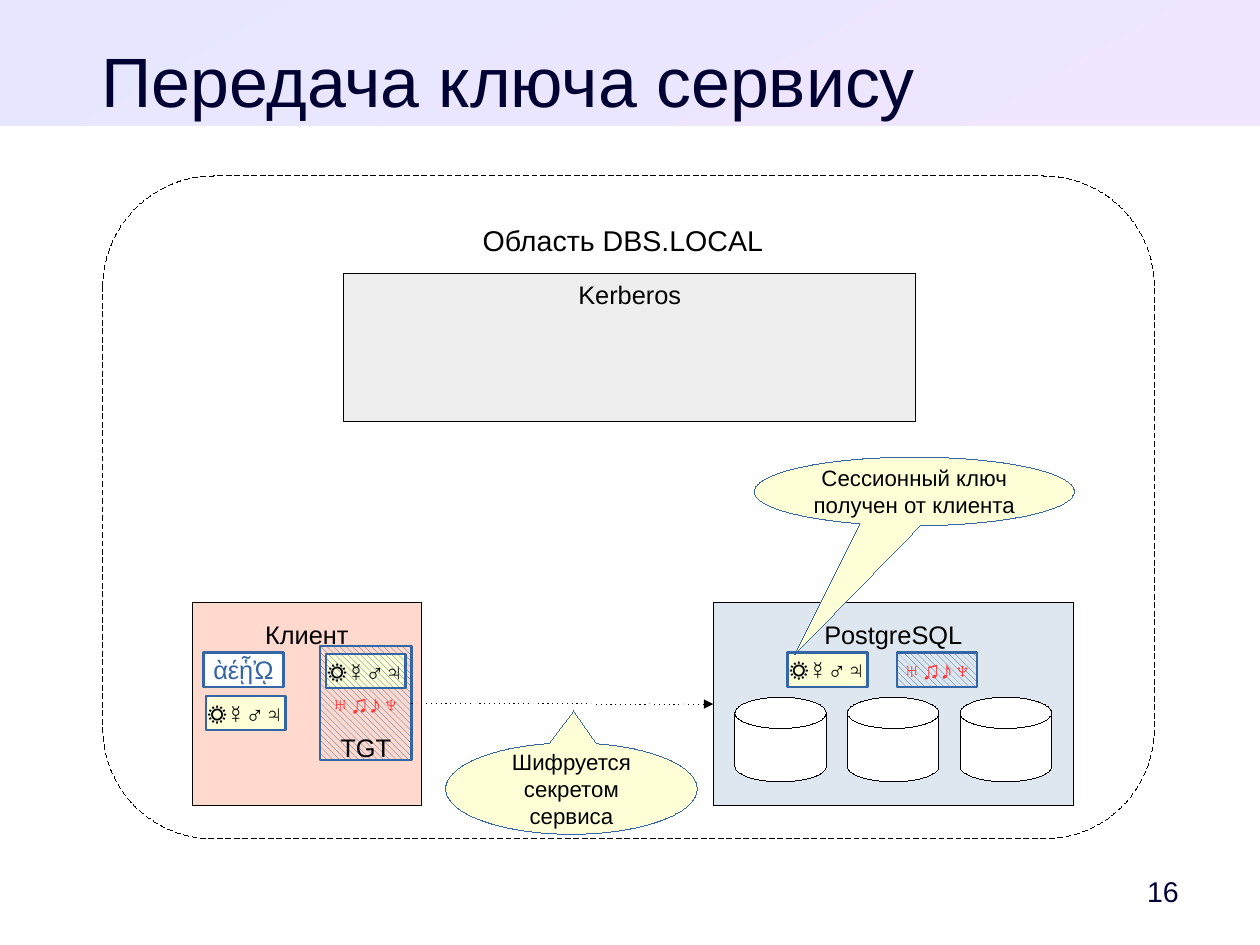
import pptx
import pptx.util
import pptx.dml.color
import pptx.enum.dml
import pptx.enum.shapes
import pptx.enum.text
import lxml.etree

Inches = pptx.util.Inches
Pt = pptx.util.Pt
Shape = pptx.enum.shapes.MSO_SHAPE
Dash = pptx.enum.dml.MSO_LINE
Align = pptx.enum.text.PP_ALIGN
Anchor = pptx.enum.text.MSO_ANCHOR
NS = "http://schemas.openxmlformats.org/drawingml/2006/main"

# A sheet of 28 by 21 cm
WIDE, HIGH = 28 / 2.54, 21 / 2.54
NAVY, BLACK, WHITE = "000033", "000000", "FFFFFF"
BLUE, CREAM, RED = "3465A4", "FFFFD7", "FF3838"
KEY = [("☼", "Calibri"), ("☿♂♃", "Arial")]
SECRET = [("♅♫♪♆", "Arial")]


def color(code):
    return pptx.dml.color.RGBColor.from_string(code)


def write(shape, runs, size, ink=BLACK, bold=False, align=Align.CENTER,
          anchor=Anchor.TOP, wrap=False, pad=(0.1, 0.05, 0.1, 0.05)):
    frame = shape.text_frame
    frame.word_wrap = wrap
    frame.vertical_anchor = anchor
    (frame.margin_left, frame.margin_top,
     frame.margin_right, frame.margin_bottom) = map(Inches, pad)
    para = frame.paragraphs[0]
    para.alignment = align
    for text, name in runs:
        run = para.add_run()
        run.text = text
        run.font.name = name
        run.font.size = Pt(size)
        run.font.bold = bold
        run.font.color.rgb = color(ink)


def outline(shape, code, width=0):
    shape.line.color.rgb = color(code)
    # Zero must be written out to get a hairline
    stroke = shape.line._get_or_add_ln()
    stroke.set("w", str(Pt(width)))
    return stroke


def draw(slide, kind, box, fill=None, line=BLACK, width=0, adjust=()):
    shape = slide.shapes.add_shape(kind, *map(Inches, box))
    shape.shadow.inherit = False
    if fill:
        shape.fill.solid()
        shape.fill.fore_color.rgb = color(fill)
    else:
        shape.fill.background()
    outline(shape, line, width)
    for i, value in enumerate(adjust):
        shape.adjustments[i] = value
    return shape


def label(slide, box, text, size, **style):
    shape = slide.shapes.add_textbox(*map(Inches, box))
    write(shape, [(text, "Arial")], size, **style)


def hatch(shape):
    fill = shape.fill
    fill.patterned()
    fill.pattern = pptx.enum.dml.MSO_PATTERN.WIDE_DOWNWARD_DIAGONAL
    fill.fore_color.rgb = color("2A6099")
    fill.back_color.rgb = color(WHITE)
    # Clear ground between the strokes
    ground = shape._element.spPr.find(f".//{{{NS}}}bgClr/{{{NS}}}srgbClr")
    lxml.etree.SubElement(ground, f"{{{NS}}}alpha").set("val", "0")


def token(slide, left, top, runs, fill=CREAM, ink=BLACK, bold=True,
          size=(0.7, 0.3)):
    shape = draw(slide, Shape.RECTANGLE, (left, top, *size), fill, BLUE, 1.5)
    if fill is None:
        hatch(shape)
    write(shape, runs, 16, ink, bold, anchor=Anchor.MIDDLE,
          pad=(0.11, 0.06, 0.11, 0.06))
    return shape


def node(slide, box, text, fill, top):
    shape = draw(slide, Shape.RECTANGLE, box, fill)
    write(shape, [(text, "Arial")], 16, pad=(0.1, top, 0.1, 0.05))
    return shape


def header(slide, box):
    left, top = box[:2]
    band = draw(slide, Shape.RECTANGLE, box)
    band.line.fill.background()
    band.fill.gradient()
    band.fill.gradient_angle = 300
    for stop, code in zip(band.fill.gradient_stops, ("E6E6FF", "F0E6FF")):
        stop.color.rgb = color(code)
    # Title goes in front of the band
    title = slide.shapes.title
    title.left, title.top = Inches(left + 0.55), Inches(top + 0.33)
    title.width, title.height = Inches(7.8), Inches(0.68)
    write(title, [("Передача ключа сервису", "Arial")], 44, NAVY,
          wrap=True, pad=(0, 0, 0, 0))
    band._element.getparent().insert(2, band._element)


def realm(slide, box):
    left, top = box[:2]
    edge = draw(slide, Shape.ROUNDED_RECTANGLE, box, adjust=[0.167])
    edge.line.dash_style = Dash.DASH
    label(slide, (left + 3.1, top + 0.36, 2.9, 0.4), "Область DBS.LOCAL", 18,
          wrap=True)
    node(slide, (left + 2.11, top + 0.85, 5, 1.3), "Kerberos", "EEEEEE", 0.05)


def server(slide, box):
    left, top = box[:2]
    shape = node(slide, box, "PostgreSQL", "DEE6EF", 0.15)
    # Databases
    for i in range(3):
        draw(slide, Shape.CAN,
             (left + 0.19 + 0.985 * i, top + 0.83, 0.8, 0.74),
             WHITE, adjust=[0.37])
    # Keys
    token(slide, left + 1.61, top + 0.44, SECRET, None, RED)
    token(slide, left + 0.65, top + 0.44, KEY)
    return shape


def ticket(slide, box):
    left, top, wide, high = box
    token(slide, left + 0.05, top + 0.07, KEY)
    shape = token(slide, left, top, SECRET, None, RED, size=(wide, high))
    label(slide, (left + 0.1, top + 0.74, 0.6, 0.3), "TGT", 16,
          anchor=Anchor.MIDDLE, pad=(0, 0.05, 0, 0.05))
    return shape


def client(slide, box):
    left, top = box[:2]
    node(slide, box, "Клиент", "FFD8CE", 0.15)
    token(slide, left + 0.1, top + 0.44, [("ὰέᾗᾨ", "Arial")], WHITE, BLUE,
          False)
    token(slide, left + 0.12, top + 0.82, KEY)
    return ticket(slide, (left + 1.12, top + 0.38, 0.8, 1))


def arrow(slide, start, end):
    line = slide.shapes.add_connector(
        pptx.enum.shapes.MSO_CONNECTOR.STRAIGHT, 0, 0, 0, 0)
    line.begin_connect(start, 3)
    line.end_connect(end, 1)
    stroke = outline(line, BLACK)
    lxml.etree.SubElement(stroke, f"{{{NS}}}prstDash").set("val", "dot")
    lxml.etree.SubElement(stroke, f"{{{NS}}}tailEnd").set("type", "triangle")
    lxml.etree.SubElement(line._element.spPr, f"{{{NS}}}effectLst")


def callout(slide, box, text, tip):
    shape = draw(slide, Shape.OVAL_CALLOUT, box, CREAM, BLUE, adjust=tip)
    write(shape, [(text, "Arial")], 14, anchor=Anchor.MIDDLE, wrap=True)


def main():
    deck = pptx.Presentation()
    deck.slide_width, deck.slide_height = Inches(WIDE), Inches(HIGH)
    slide = deck.slides.add_slide(deck.slide_layouts[5])
    header(slide, (0, 0, WIDE, 1.1))
    realm(slide, (0.9, 1.54, 9.2, 5.8))
    base = server(slide, (6.24, 5.27, 3.15, 1.78))
    card = client(slide, (1.68, 5.27, 2.01, 1.78))
    arrow(slide, card, base)
    callout(slide, (6.6, 4, 2.8, 0.6), "Сессионный ключ получен от клиента",
            (-0.373, 2.371))
    callout(slide, (3.9, 6.5, 2.2, 0.8), "Шифруется секретом сервиса",
            (0.009, -0.85))
    # Page number
    label(slide, (9.69, 7.56, 0.87, 0.47), "16", 18, ink=NAVY,
          anchor=Anchor.MIDDLE, wrap=True, pad=(0.1, 0.05, 0, 0.05))
    deck.save("out.pptx")


if __name__ == "__main__":
    main()
